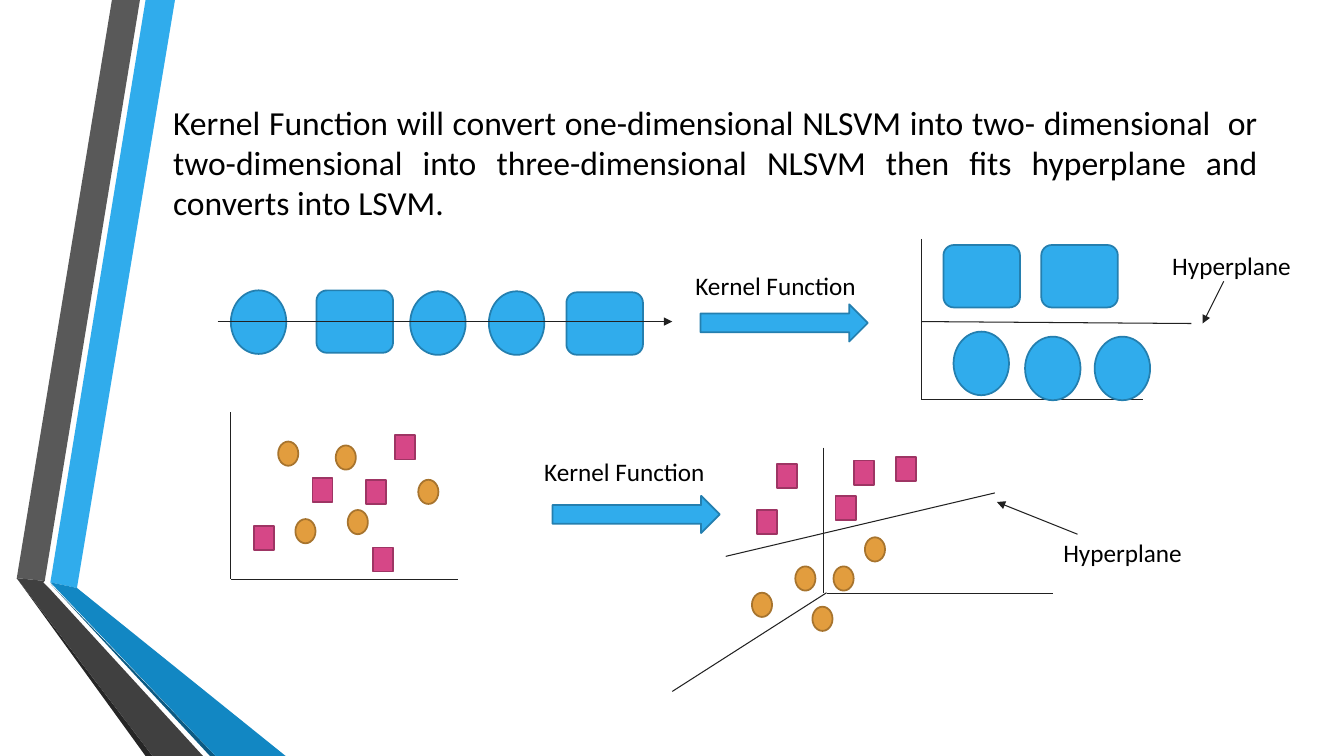
from lxml import etree
from pptx import Presentation
from pptx.dml.color import RGBColor
from pptx.enum import shapes as kinds, text as styles
from pptx.oxml.ns import qn
from pptx.util import Pt

BLUE, BLUE_EDGE = RGBColor(0x30, 0xAC, 0xEC), RGBColor(0x24, 0x7F, 0xAF)
ORANGE, ORANGE_EDGE = RGBColor(0xE2, 0x9D, 0x3E), RGBColor(0xA7, 0x74, 0x2E)
PINK, PINK_EDGE = RGBColor(0xD6, 0x47, 0x87), RGBColor(0x9E, 0x35, 0x64)
DEEP_BLUE, NAVY = RGBColor(0x12, 0x87, 0xC3), RGBColor(0x0C, 0x5A, 0x82)
GREY, DARK_GREY = RGBColor(0x59, 0x59, 0x59), RGBColor(0x40, 0x40, 0x40)
CHARCOAL, INK = RGBColor(0x26, 0x26, 0x26), RGBColor(0x21, 0x21, 0x21)
BLACK = RGBColor(0, 0, 0)
FONT = "Calibri"

# Content: all lengths in points
STATEMENT = ("Kernel Function will convert one-dimensional NLSVM into two- dimensional  or "
             "two-dimensional into three-dimensional NLSVM then fits hyperplane and "
             "converts into LSVM.")
LABELS = [  # wording, left, top, width
    ("Hyperplane", 830.2, 175, 113.8),
    ("Kernel Function", 489.6, 189.4, 145.4),
    ("Kernel Function", 381.6, 322.6, 145.4),
    ("Hyperplane", 752.4, 380.2, 113.8),
]
RIBBONS = [
    (BLUE, [(36, 416.2), (55.4, 419.8), (124.6, 0), (104.4, 0)]),
    (GREY, [(100.1, 0), (79.9, 0), (11.5, 412.6), (31.7, 415.4)]),
    (CHARCOAL, [(11.5, 412.6), (104.4, 540), (108.7, 540)]),
    (NAVY, [(36, 416.9), (149.8, 540), (154.1, 540)]),
    (DEEP_BLUE, [(36, 416.2), (154.1, 540), (203.8, 540), (55.4, 419.8)]),
    (DARK_GREY, [(145.4, 540), (34.6, 419.8), (31, 416.2), (31.7, 415.4),
                 (11.5, 412.6), (108.7, 540)]),
]

MARKS = {  # preset, width, height, fill, edge
    "circle": (kinds.MSO_SHAPE.OVAL, 39.6, 45.4, BLUE, BLUE_EDGE),
    "box": (kinds.MSO_SHAPE.ROUNDED_RECTANGLE, 54.7, 44.6, BLUE, BLUE_EDGE),
    "kernel arrow": (kinds.MSO_SHAPE.RIGHT_ARROW, 119.5, 26.6, BLUE, BLUE_EDGE),
    "dot": (kinds.MSO_SHAPE.OVAL, 14.4, 17.3, ORANGE, ORANGE_EDGE),
    "square": (kinds.MSO_SHAPE.RECTANGLE, 14.4, 17.3, PINK, PINK_EDGE),
}
ONE_DIMENSION = {
    "circle": [(164.9, 207.4), (349.2, 208.1), (293, 208.1)],
    "box": [(226.1, 207.4), (404.6, 208.8)],
}
TWO_DIMENSIONS = {
    "box": [(743.8, 175), (673.9, 175)],
    "circle": [(781.9, 240.5), (732.2, 240.5), (681.1, 236.9)],
}
SCATTER_2D = {
    "dot": [(198.7, 315.4), (239.8, 318.2), (211, 370.8), (298.8, 342.7), (248.4, 364.3)],
    "square": [(261.4, 342.7), (282.2, 311), (266.4, 391), (223.2, 341.3), (181.4, 375.8)],
}
SCATTER_3D = {
    "dot": [(537.1, 423.4), (617.8, 383.8), (580.3, 433.4), (568.1, 404.6), (595.4, 404.6)],
    "square": [(596.9, 354.2), (640.1, 326.2), (540.7, 364.3), (555.1, 331.2), (609.8, 329)],
}
KERNEL_ARROWS = {"kernel arrow": [(500.4, 217.4), (394.6, 354.2)]}

AXES = [  # x1, y1, x2, y2
    (658.1, 170.6, 658.1, 285.1), (658.1, 285.1, 816.5, 285.1),
    (164.9, 294.5, 164.9, 413.5), (164.9, 414, 326.9, 414),
    (588.2, 319.7, 588.2, 423.4), (590.4, 424.1, 752.4, 424.1),
    (590.4, 423.4, 480.2, 493.9),
]
HYPERPLANES = [(658.1, 229.7, 851, 231.1), (518.4, 397.4, 710.6, 352.1)]
POINTERS = [
    (155.5, 229.7, 480.2, 229.7),
    (874.1, 200.9, 859, 231.1), (769.7, 381.6, 712.1, 358.6),
]

deck = Presentation()
deck.slide_width, deck.slide_height = Pt(960), Pt(540)
slide = deck.slides.add_slide(deck.slide_layouts[6])


def draw_ribbon(color, corners):
    outline = slide.shapes.build_freeform(*corners[0], scale=Pt(1))
    outline.add_line_segments(corners[1:], close=True)
    ribbon = outline.convert_to_shape()
    ribbon.shadow.inherit = False
    ribbon.fill.solid()
    ribbon.fill.fore_color.rgb = color
    ribbon.line.fill.background()


def draw_marks(group):
    for kind, places in group.items():
        preset, width, height, fill, edge = MARKS[kind]
        for left, top in places:
            mark = slide.shapes.add_shape(preset, Pt(left), Pt(top), Pt(width), Pt(height))
            mark.shadow.inherit = False
            mark.fill.solid()
            mark.fill.fore_color.rgb = fill
            mark.line.color.rgb = edge
            mark.line.width = Pt(1.25)


def draw_line(ends, pointed=False):
    line = slide.shapes.add_connector(kinds.MSO_CONNECTOR.STRAIGHT, *map(Pt, ends))
    line.line.color.rgb = INK
    line.line.width = Pt(0.75)
    if pointed:
        etree.SubElement(line.line._get_or_add_ln(), qn("a:tailEnd"), type="triangle")
    etree.SubElement(line._element.spPr, qn("a:effectLst"))


def write(wording, left, top, width, height, size):
    frame = slide.shapes.add_textbox(Pt(left), Pt(top), Pt(width), Pt(height)).text_frame
    frame.word_wrap = True
    frame.text = wording
    font = frame.paragraphs[0].runs[0].font
    font.name, font.size, font.color.rgb = FONT, Pt(size), BLACK
    return frame.paragraphs[0]


# Side ribbons and statement
for color, corners in RIBBONS:
    draw_ribbon(color, corners)
statement = write(STATEMENT, 116.6, 69.1, 789.1, 439.2, 24)
statement.alignment = styles.PP_ALIGN.JUSTIFY
statement.space_after = Pt(6)

# The one-dimensional row lies under its axis, all other marks lie over theirs
draw_marks(ONE_DIMENSION)
for ends in AXES + HYPERPLANES:
    draw_line(ends)
for ends in POINTERS:
    draw_line(ends, pointed=True)
for group in (KERNEL_ARROWS, TWO_DIMENSIONS, SCATTER_2D, SCATTER_3D):
    draw_marks(group)

# Labels
for wording, left, top, width in LABELS:
    write(wording, left, top, width, 28.8, 18)

deck.save("out.pptx")
